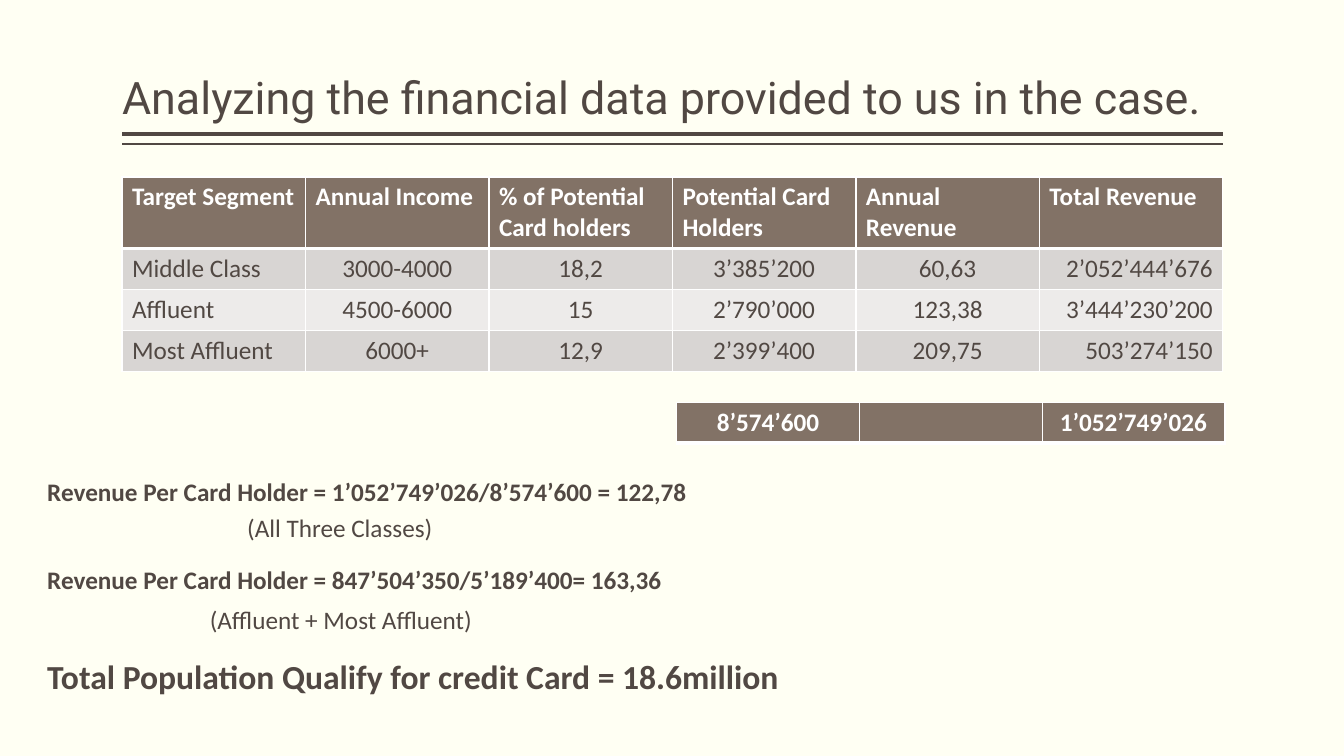
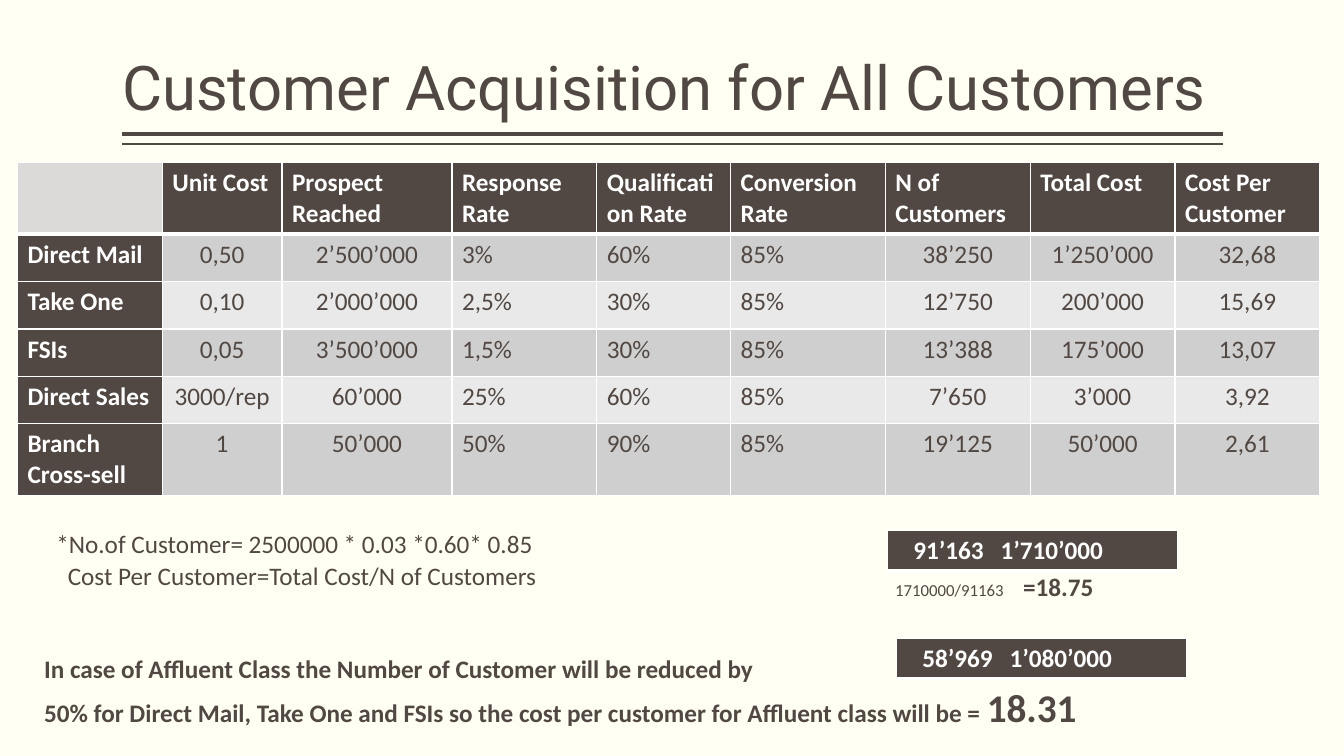
from dataclasses import dataclass

from lxml.etree import SubElement
from pptx import Presentation
from pptx.dml.color import RGBColor
from pptx.enum.shapes import MSO_CONNECTOR as Connector
from pptx.enum.text import MSO_ANCHOR as Anchor, MSO_AUTO_SIZE as AutoSize, PP_ALIGN as Align
from pptx.oxml.ns import qn
from pptx.util import Inches, Pt

INK = RGBColor(0x51, 0x48, 0x43)
PAPER = RGBColor(0xFF, 0xFF, 0xF3)
WHITE = RGBColor(0xFF, 0xFF, 0xFF)
TAUPE = RGBColor(0x82, 0x72, 0x66)
CORNER = RGBColor(0xDC, 0xDA, 0xD8)
WARM_BANDS = (RGBColor(0xD8, 0xD5, 0xD3), RGBColor(0xED, 0xEB, 0xEA))
GREY_BANDS = (RGBColor(0xD0, 0xCF, 0xCF), RGBColor(0xE9, 0xE9, 0xE9))

BODY = {"name": "Calibri", "size": Pt(18), "bold": False}
STRONG = {**BODY, "bold": True}
SMALL = {**BODY, "size": Pt(12)}
LARGE = {**STRONG, "size": Pt(24)}
HUGE = {**STRONG, "size": Pt(28)}
ALIGNS = {"l": Align.LEFT, "c": Align.CENTER, "r": Align.RIGHT}


@dataclass
class Box:
    """A rectangle whose inner areas are given in percent of its sides."""
    left: int
    top: int
    width: int
    height: int

    def area(self, left, top, width, height):
        """Return the inner rectangle at the given percentages."""
        return Box(int(self.left + self.width * left / 100),
                   int(self.top + self.height * top / 100),
                   int(self.width * width / 100),
                   int(self.height * height / 100))

    def edges(self):
        """Return left, top, width and height."""
        return self.left, self.top, self.width, self.height


PAGE = Box(0, 0, Inches(13.33), Inches(7.5))


def assign(target, values):
    """Set every attribute named in a dict."""
    for name, value in values.items():
        setattr(target, name, value)


def write(paragraph, text, style, color=INK):
    """Add a formatted run to a paragraph."""
    run = paragraph.add_run()
    run.text = text
    assign(run.font, style)
    run.font.color.rgb = color


def write_box(slide, box, *paragraphs):
    """Place a text box; each paragraph is a list of text and style pairs."""
    frame = slide.shapes.add_textbox(*box.edges()).text_frame
    frame.word_wrap = True
    for index, runs in enumerate(paragraphs):
        paragraph = frame.add_paragraph() if index else frame.paragraphs[0]
        for text, style in runs:
            write(paragraph, text, style)


def write_lines(slide, box, lines):
    """Place single lines at their percentages of a region."""
    for left, top, text, style in lines:
        write_box(slide, box.area(left, top, 100 - left, 18), [(text, style)])


def border(cell, top, bottom):
    """Draw white cell borders with the given top and bottom widths."""
    properties = cell._tc.get_or_add_tcPr()
    for side, width in (("L", 1), ("R", 1), ("T", top), ("B", bottom)):
        line = SubElement(properties, qn(f"a:ln{side}"), w=str(int(Pt(width))))
        SubElement(SubElement(line, qn("a:solidFill")), qn("a:srgbClr"), val=str(WHITE))


def fill_cell(cell, text, fill, style, color, align="l"):
    """Fill a cell and write its text."""
    cell.fill.solid()
    cell.fill.fore_color.rgb = fill
    if text:
        paragraph = cell.text_frame.paragraphs[0]
        paragraph.alignment = ALIGNS[align]
        write(paragraph, text, style, color)


def add_grid(slide, box, columns, rows):
    """Add a table with bordered cells and relative column and row sizes."""
    table = slide.shapes.add_table(len(rows), len(columns), *box.edges()).table
    table.horz_banding = False
    for column, share in zip(table.columns, columns):
        column.width = int(box.width * share / sum(columns))
    for row, share in zip(table.rows, rows):
        row.height = int(box.height * share / sum(rows))
    for index, row in enumerate(table.rows):
        for cell in row.cells:
            border(cell, 3 if index == 1 else 1, 1 if index else 3)
    return table


def data_table(slide, box, columns, rows, records, aligns, head, bands, side=None):
    """Add a banded table with a header row and an optional header column."""
    table = add_grid(slide, box, columns, rows)
    for row, record in enumerate(records):
        for column, text in enumerate(record):
            cell = table.cell(row, column)
            if row == 0:
                fill_cell(cell, text, head if text else CORNER, STRONG, WHITE)
            elif column == 0 and side:
                fill_cell(cell, text, side, STRONG, WHITE)
            else:
                fill_cell(cell, text, bands[(row - 1) % 2], BODY, INK, aligns[column])


def segment_totals(slide, box, totals):
    """Add a row of centred totals."""
    table = add_grid(slide, box, [1] * len(totals), [1])
    for column, total in enumerate(totals):
        fill_cell(table.cell(0, column), total, TAUPE, STRONG, WHITE, "c")


def cost_totals(slide, box, customers, cost):
    """Add a strip with the customer and cost totals at a tab stop."""
    cell = add_grid(slide, box, [1], [1]).cell(0, 0)
    cell.margin_left = int(box.width * 0.09)
    fill_cell(cell, f"{customers}\t{cost}", INK, STRONG, WHITE)
    properties = cell.text_frame.paragraphs[0]._p.get_or_add_pPr()
    stops = SubElement(properties, qn("a:tabLst"))
    SubElement(stops, qn("a:tab"), pos=str(int(box.width * 0.3)), algn="l")


def titled_slide(deck, text, size):
    """Add a slide with its title and the double rule below it."""
    slide = deck.slides.add_slide(deck.slide_layouts[5])
    heading = PAGE.area(9.08, 1.07, 81.92, 16)
    for top, width in ((17.73, 3), (19.07, 1)):
        rule_box = PAGE.area(9.08, top, 81.92, 0)
        rule = slide.shapes.add_connector(
            Connector.STRAIGHT, rule_box.left, rule_box.top,
            rule_box.left + rule_box.width, rule_box.top)
        rule.line.color.rgb = INK
        rule.line.width = Pt(width)
        SubElement(rule._element.spPr, qn("a:effectLst"))
    title = slide.shapes.title
    assign(title, dict(zip(("left", "top", "width", "height"), heading.edges())))
    frame = title.text_frame
    assign(frame, {"margin_left": 0, "margin_right": 0, "word_wrap": True,
                   "vertical_anchor": Anchor.BOTTOM, "auto_size": AutoSize.NONE})
    assign(frame.paragraphs[0], {"alignment": Align.LEFT, "line_spacing": 0.9})
    write(frame.paragraphs[0], text, {"name": "Roboto", "size": Pt(size)})
    return slide


def revenue_slide(deck):
    """Build the slide on revenue by target segment."""
    slide = titled_slide(deck, "Analyzing the financial data provided to us in the case.", 32)
    segments = [
        ("Target Segment", "Annual Income", "% of Potential Card holders",
         "Potential Card Holders", "Annual Revenue", "Total Revenue"),
        ("Middle Class", "3000-4000", "18,2", "3’385’200", "60,63", "2’052’444’676"),
        ("Affluent", "4500-6000", "15", "2’790’000", "123,38", "3’444’230’200"),
        ("Most Affluent", "6000+", "12,9", "2’399’400", "209,75", "503’274’150"),
    ]
    data_table(slide, PAGE.area(9.08, 23.4, 81.92, 25.6), [1] * 6, [0.7, 0.4, 0.4, 0.4],
               segments, "lccccr", TAUPE, WARM_BANDS)
    segment_totals(slide, PAGE.area(50.34, 53.2, 40.81, 5.07),
                   ("8’574’600", "", "1’052’749’026"))
    write_lines(slide, PAGE.area(2.78, 62.4, 62, 30.4), [
        (0, 0, "Revenue Per Card Holder = 1’052’749’026/8’574’600 = 122,78", STRONG),
        (24, 15.5, "(All Three Classes)", BODY),
        (0, 38, "Revenue Per Card Holder = 847’504’350/5’189’400= 163,36", STRONG),
        (19.5, 55.7, "(Affluent + Most Affluent)", BODY),
        (0, 78, "Total Population Qualify for credit Card = 18.6million", LARGE),
    ])


def acquisition_slide(deck):
    """Build the slide on acquisition cost by channel."""
    slide = titled_slide(deck, "Customer Acquisition for All Customers", 44)
    channels = [
        ("", "Unit Cost", "Prospect Reached", "Response Rate", "Qualification Rate",
         "Conversion Rate", "N of Customers", "Total Cost", "Cost Per Customer"),
        ("Direct Mail", "0,50", "2’500’000", "3%", "60%", "85%", "38’250", "1’250’000", "32,68"),
        ("Take One", "0,10", "2’000’000", "2,5%", "30%", "85%", "12’750", "200’000", "15,69"),
        ("FSIs", "0,05", "3’500’000", "1,5%", "30%", "85%", "13’388", "175’000", "13,07"),
        ("Direct Sales", "3000/rep", "60’000", "25%", "60%", "85%", "7’650", "3’000", "3,92"),
        ("Branch Cross-sell", "1", "50’000", "50%", "90%", "85%", "19’125", "50’000", "2,61"),
    ]
    data_table(slide, PAGE.area(1.3, 21.5, 96.92, 43.8),
               [1.44, 1.19, 1.69, 1.44, 1.33, 1.54, 1.44, 1.44, 1.44],
               [0.7, 0.47, 0.47, 0.47, 0.47, 0.7],
               channels, "lcclllccc", INK, GREY_BANDS, INK)
    cost_totals(slide, PAGE.area(66.02, 70.13, 21.61, 5.2), "91’163", "1’710’000")
    write_lines(slide, PAGE.area(3.45, 69.2, 43, 9.6), [
        (0, 0, "*No.of Customer= 2500000 * 0.03 *0.60* 0.85", BODY),
        (2, 45, "Cost Per Customer=Total Cost/N of Customers", BODY),
    ])
    write_box(slide, PAGE.area(75.39, 74.93, 18, 5.3), [("=18.75", STRONG)])
    write_box(slide, PAGE.area(65.87, 76, 11.5, 4), [("1710000/91163", SMALL)])
    write_box(
        slide, PAGE.area(2.55, 85.73, 95.8, 11.73),
        [("In case of Affluent Class the Number of Customer will be reduced by", STRONG)],
        [("50% for Direct Mail, Take One and FSIs so the cost per customer "
          "for Affluent class will be = ", STRONG), ("18.31", HUGE)])
    cost_totals(slide, PAGE.area(66.69, 84.4, 21.61, 5.2), "58’969", "1’080’000")


def main():
    """Build and save the deck."""
    deck = Presentation()
    assign(deck, {"slide_width": PAGE.width, "slide_height": PAGE.height})
    paper = deck.slide_master.background.fill
    paper.solid()
    paper.fore_color.rgb = PAPER
    revenue_slide(deck)
    acquisition_slide(deck)
    deck.save("out.pptx")


if __name__ == "__main__":
    main()
